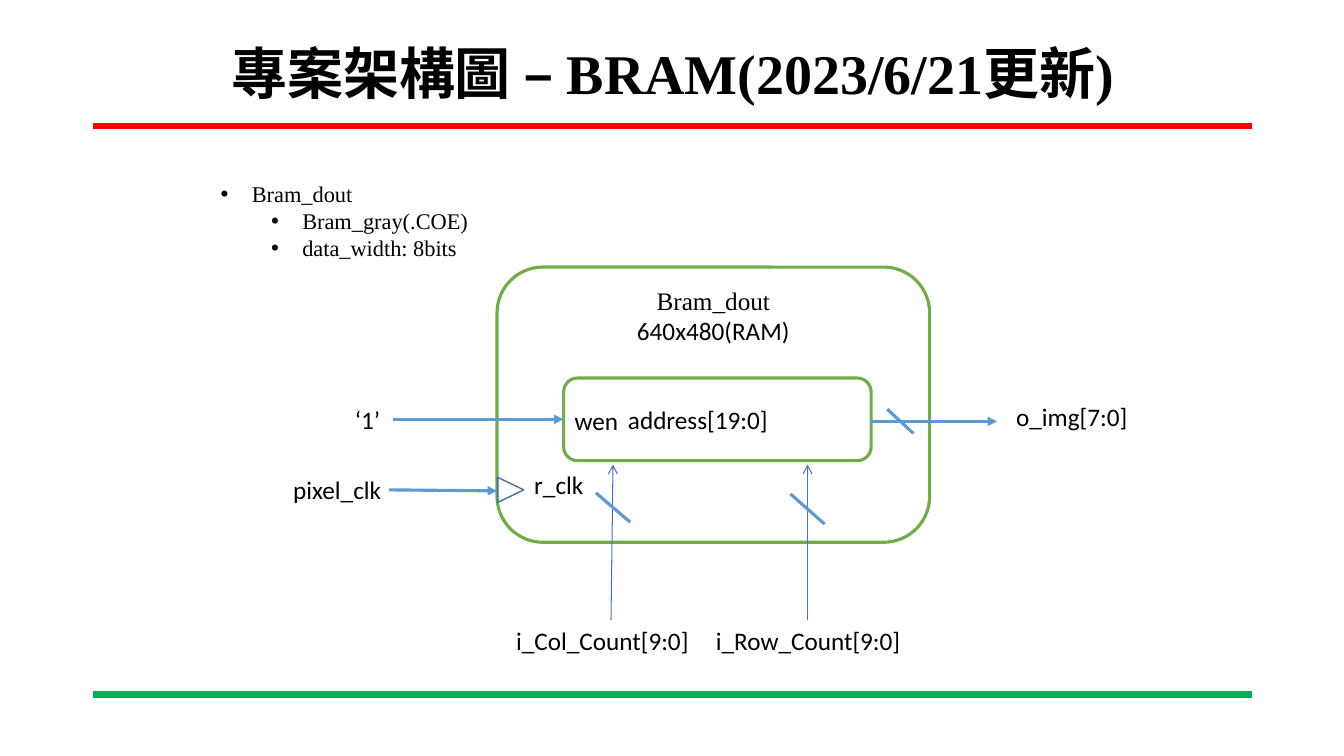
import dataclasses
import typing

import lxml.etree
import pptx
import pptx.dml.color
import pptx.enum.shapes
import pptx.enum.text
import pptx.oxml.ns
import pptx.util

PX = 9144  # EMU in one px, 100 px to the inch
ALIGN = pptx.enum.text.PP_ALIGN
ANCHOR = pptx.enum.text.MSO_ANCHOR
SHAPE = pptx.enum.shapes.MSO_SHAPE


@dataclasses.dataclass(frozen=True)
class Theme:
    ink: str = "000000"
    paper: str = "FFFFFF"
    top: str = "FF0000"
    foot: str = "00B050"
    frame: str = "70AD47"
    wire: str = "5B9BD5"
    bus: str = "4472C4"
    clock: str = "43739E"
    serif: str = "Times New Roman"
    sans: str = "Calibri"
    title: int = 40
    label: int = 18
    note: int = 16
    bar: float = 4.5
    bold: float = 2.25
    thin: float = 0.75


THEME = Theme()


class Box(typing.NamedTuple):
    left: int
    top: int
    width: int
    height: int


class Wire(typing.NamedTuple):
    x1: int
    y1: int
    x2: int
    y2: int
    color: str = THEME.wire
    weight: float = THEME.bold
    head: str = ""


class Label(typing.NamedTuple):
    text: str
    box: Box
    align: ALIGN = ALIGN.LEFT


# Parts of the diagram
RULES = [Wire(92, y, 1242, y, color, THEME.bar)
         for y, color in ((125, THEME.top), (689, THEME.foot))]
ARROWS = [
    Wire(863, 418, 989, 418, head="triangle"),
    Wire(390, 416, 559, 416, head="triangle"),
    Wire(386, 486, 493, 487, head="triangle"),
    Wire(606, 615, 608, 461, THEME.bus, THEME.thin, "arrow"),
    Wire(801, 615, 801, 461, THEME.bus, THEME.thin, "arrow"),
]
SLASHES = [
    Wire(880, 406, 906, 430),
    Wire(784, 490, 818, 520),
    Wire(591, 489, 625, 518),
]
LABELS = [
    Label("r_clk", Box(520, 461, 70, 40)),
    Label("o_img[7:0]", Box(998, 393, 136, 40)),
    Label("pixel_clk", Box(281, 466, 113, 48)),
    Label("wen", Box(560, 397, 70, 40)),
    Label("‘1’", Box(342, 396, 48, 40)),
    Label("i_Col_Count[9:0]", Box(502, 615, 208, 40)),
    Label("i_Row_Count[9:0]", Box(699, 615, 205, 71), ALIGN.CENTER),
]
NOTES = [("Bram_dout", 1), ("Bram_gray(.COE)", 2), ("data_width: 8bits", 2)]


def emu(*sizes: int) -> list[int]:
    return [size * PX for size in sizes]


def rgb(color: str) -> pptx.dml.color.RGBColor:
    return pptx.dml.color.RGBColor.from_string(color)


def add_node(parent, tag: str, **attrs: str) -> None:
    node = lxml.etree.SubElement(parent, pptx.oxml.ns.qn(tag))
    for key, value in attrs.items():
        node.set(key, value)


def write(frame, text: str, *, font: str = THEME.sans, size: int = THEME.label,
          bold: bool = False, align: ALIGN = ALIGN.LEFT, space: float = 1.0,
          more: bool = False):
    """Fill the first paragraph, or add one when more is set."""
    para = frame.add_paragraph() if more else frame.paragraphs[0]
    para.alignment = align
    para.line_spacing = space
    run = para.add_run()
    run.text = text
    run.font.name = font
    run.font.size = pptx.util.Pt(size)
    run.font.bold = bold
    run.font.color.rgb = rgb(THEME.ink)
    return para


def add_frame(slide, box: Box, anchor: ANCHOR = ANCHOR.TOP):
    frame = slide.shapes.add_textbox(*emu(*box)).text_frame
    frame.word_wrap = True
    frame.vertical_anchor = anchor
    return frame


def add_label(slide, label: Label) -> None:
    write(add_frame(slide, label.box), label.text, align=label.align)


def add_bullet(para, level: int) -> None:
    para.level = level
    props = para._p.get_or_add_pPr()
    props.set("marL", str((31 + 50 * level) * PX))
    props.set("indent", str(-31 * PX))
    add_node(props, "a:buFont", typeface="Arial")
    add_node(props, "a:buChar", char="•")


def add_wire(slide, wire: Wire) -> None:
    line = slide.shapes.add_connector(
        pptx.enum.shapes.MSO_CONNECTOR.STRAIGHT,
        *emu(wire.x1, wire.y1, wire.x2, wire.y2))
    line.line.color.rgb = rgb(wire.color)
    line.line.width = pptx.util.Pt(wire.weight)
    if wire.head:
        add_node(line.line._get_or_add_ln(), "a:tailEnd", type=wire.head)
    add_node(line._element.spPr, "a:effectLst")


def add_block(slide, kind: SHAPE, box: Box, color: str, weight: float,
              fill: str = "", anchor: ANCHOR = ANCHOR.TOP):
    block = slide.shapes.add_shape(kind, *emu(*box))
    block.shadow.inherit = False
    if fill:
        block.fill.solid()
        block.fill.fore_color.rgb = rgb(fill)
    else:
        block.fill.background()
    block.line.color.rgb = rgb(color)
    block.line.width = pptx.util.Pt(weight)
    block.text_frame.vertical_anchor = anchor
    return block


def main() -> None:
    deck = pptx.Presentation()
    deck.slide_width, deck.slide_height = emu(1333, 750)
    slide = deck.slides.add_slide(deck.slide_layouts[6])

    # Rules and title
    for rule in RULES:
        add_wire(slide, rule)
    write(add_frame(slide, Box(92, 36, 1150, 79), ANCHOR.MIDDLE),
          "專案架構圖 – BRAM(2023/6/21更新)", font=THEME.serif,
          size=THEME.title, bold=True, align=ALIGN.CENTER, space=0.9)

    # Bulleted notes
    notes = add_frame(slide, Box(159, 174, 763, 91))
    for row, (text, level) in enumerate(NOTES):
        para = write(notes, text, font=THEME.serif, size=THEME.note, more=row > 0)
        add_bullet(para, level)

    # Memory block, clock mark and port block
    outer = add_block(slide, SHAPE.ROUNDED_RECTANGLE, Box(493, 265, 429, 273),
                      THEME.frame, THEME.bold, THEME.paper)
    write(outer.text_frame, "Bram_dout", font=THEME.serif, align=ALIGN.CENTER)
    write(outer.text_frame, "640x480(RAM)", align=ALIGN.CENTER, more=True)
    clock = add_block(slide, SHAPE.ISOSCELES_TRIANGLE, Box(494, 473, 25, 26),
                      THEME.clock, 1)
    clock.rotation = 90
    inner = add_block(slide, SHAPE.ROUNDED_RECTANGLE, Box(559, 375, 305, 82),
                      THEME.frame, THEME.bold, THEME.paper, ANCHOR.MIDDLE)
    write(inner.text_frame, "\taddress[19:0]")

    # Signals and their names
    for wire in ARROWS + SLASHES:
        add_wire(slide, wire)
    for label in LABELS:
        add_label(slide, label)

    deck.save("out.pptx")


if __name__ == "__main__":
    main()
